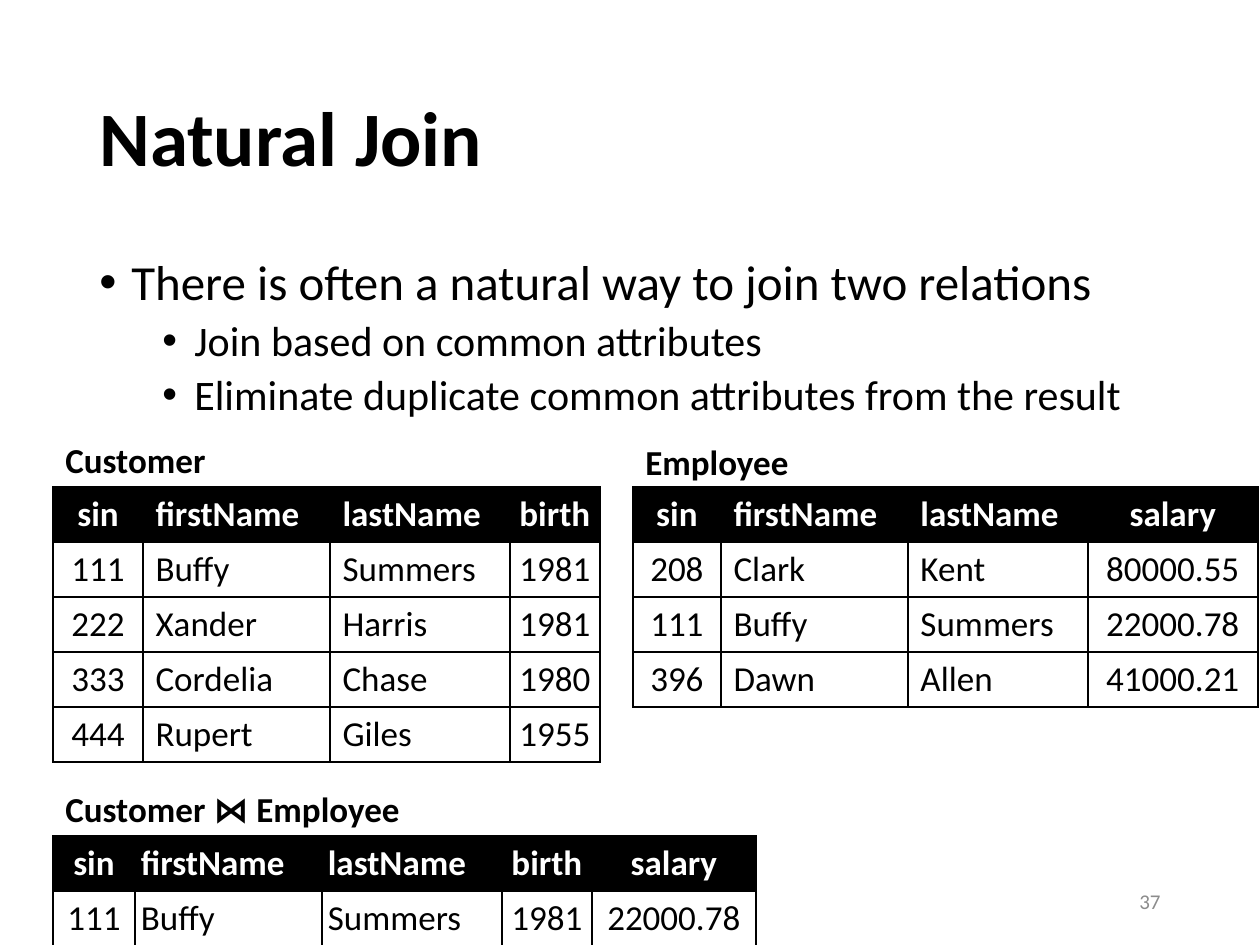
from dataclasses import dataclass

from lxml.etree import SubElement
from pptx import Presentation
from pptx.dml.color import RGBColor as RGB
from pptx.enum.text import MSO_ANCHOR as Anchor, PP_ALIGN as Align
from pptx.oxml.ns import qn
from pptx.util import Emu, Pt


@dataclass(frozen=True)
class Theme:
    font: str = "Calibri"
    ink: str = "000000"
    paper: str = "FFFFFF"
    muted: str = "8C8C8C"
    title: int = 44
    bullet: int = 28
    sub_bullet: int = 24
    table: int = 20
    number: int = 12


THEME = Theme()
EMU_PER_PX = 914400 / 126
ROW_H = 55
COLUMN_W = {"firstName": 187, "lastName": 180, "birth": 90}
LEFT_ALIGNED = ("firstName", "lastName")
TIGHT_MARGIN = 6

BULLETS = [
    (0, "There is often a natural way to join two relations"),
    (1, "Join based on common attributes"),
    (1, "Eliminate duplicate common attributes from the result"),
]
CUSTOMER = [
    ("sin", "firstName", "lastName", "birth"),
    ("111", "Buffy", "Summers", "1981"),
    ("222", "Xander", "Harris", "1981"),
    ("333", "Cordelia", "Chase", "1980"),
    ("444", "Rupert", "Giles", "1955"),
]
EMPLOYEE = [
    ("sin", "firstName", "lastName", "salary"),
    ("208", "Clark", "Kent", "80000.55"),
    ("111", "Buffy", "Summers", "22000.78"),
    ("396", "Dawn", "Allen", "41000.21"),
]
JOINED = [
    ("sin", "firstName", "lastName", "birth", "salary"),
    ("111", "Buffy", "Summers", "1981", "22000.78"),
]


def px(n):
    return Emu(round(n * EMU_PER_PX))


def write(p, text, size, color=THEME.ink, bold=False, align=Align.LEFT, spacing=None):
    """Put one formatted run in a paragraph."""
    p.alignment = align
    if spacing:
        p.line_spacing = spacing
    r = p.add_run()
    r.text = text
    r.font.name = THEME.font
    r.font.size = Pt(size)
    r.font.bold = bold
    r.font.color.rgb = RGB.from_string(color)


def add_box(slide, x, y, w, h, anchor=Anchor.TOP):
    tf = slide.shapes.add_textbox(px(x), px(y), px(w), px(h)).text_frame
    tf.word_wrap = True
    tf.vertical_anchor = anchor
    return tf


def add_bullets(slide, x, y, w, h, items):
    tf = add_box(slide, x, y, w, h)
    for i, (level, text) in enumerate(items):
        p = tf.paragraphs[0] if i == 0 else tf.add_paragraph()
        p.level = level
        pPr = p._p.get_or_add_pPr()
        pPr.set("marL", str(px(32 + 63 * level)))
        pPr.set("indent", str(px(-32)))
        SubElement(pPr, qn("a:buFont"), typeface="Arial")
        SubElement(pPr, qn("a:buChar"), char="•")
        if i:
            p.space_before = Pt(5)
        size = THEME.sub_bullet if level else THEME.bullet
        write(p, text, size, spacing=0.9)


def add_borders(cell):
    tcPr = cell._tc.get_or_add_tcPr()
    for i, side in enumerate(("lnL", "lnR", "lnT", "lnB")):
        ln = tcPr.makeelement(qn(f"a:{side}"), {"w": str(Pt(1))})
        fill = SubElement(ln, qn("a:solidFill"))
        SubElement(fill, qn("a:srgbClr"), val=THEME.ink)
        tcPr.insert(i, ln)


def format_cell(cell, text, name, header, tight):
    cell.fill.solid()
    cell.fill.fore_color.rgb = RGB.from_string(THEME.ink if header else THEME.paper)
    cell.vertical_anchor = Anchor.MIDDLE
    if tight:
        cell.margin_left = cell.margin_right = px(TIGHT_MARGIN)
        cell.margin_top = cell.margin_bottom = px(TIGHT_MARGIN)
    add_borders(cell)
    write(cell.text_frame.paragraphs[0], text, THEME.table,
          color=THEME.paper if header else THEME.ink, bold=header,
          align=Align.LEFT if name in LEFT_ALIGNED else Align.CENTER)


def add_relation(slide, x, y, rows, sin_w, salary_w=0, tight=("birth",)):
    names = rows[0]
    widths = {**COLUMN_W, "sin": sin_w, "salary": salary_w}
    total = sum(widths[name] for name in names)
    table = slide.shapes.add_table(len(rows), len(names), px(x), px(y),
                                   px(total), px(ROW_H * len(rows))).table
    table.horz_banding = False
    for column, name in zip(table.columns, names):
        column.width = px(widths[name])
    for i, row in enumerate(rows):
        table.rows[i].height = px(ROW_H)
        for j, (name, value) in enumerate(zip(names, row)):
            format_cell(table.cell(i, j), value, name, i == 0, name in tight)


def add_caption(slide, x, y, w, text):
    tf = add_box(slide, x, y, w, 55)
    write(tf.paragraphs[0], text, THEME.table, bold=True)


def main():
    prs = Presentation()
    prs.slide_width, prs.slide_height = px(1260), px(945)
    slide = prs.slides.add_slide(prs.slide_layouts[6])

    # Title, bullets and slide number
    tf = add_box(slide, 87, 50, 1086, 183, Anchor.MIDDLE)
    write(tf.paragraphs[0], "Natural Join", THEME.title, bold=True, spacing=0.9)
    add_bullets(slide, 87, 252, 1086, 600, BULLETS)
    tf = add_box(slide, 890, 876, 283, 50, Anchor.MIDDLE)
    write(tf.paragraphs[0], "37", THEME.number, color=THEME.muted, align=Align.RIGHT)

    # Source relations
    add_relation(slide, 53, 487, CUSTOMER, sin_w=90)
    add_relation(slide, 633, 487, EMPLOYEE, sin_w=88, salary_w=170)

    # Join result
    add_relation(slide, 53, 836, JOINED, sin_w=82, salary_w=164, tight=JOINED[0])

    # Relation names
    add_caption(slide, 53, 432, 176, "Customer")
    add_caption(slide, 633, 434, 176, "Employee")
    add_caption(slide, 53, 781, 388, "Customer ⋈ Employee")

    prs.save("out.pptx")


if __name__ == "__main__":
    main()
